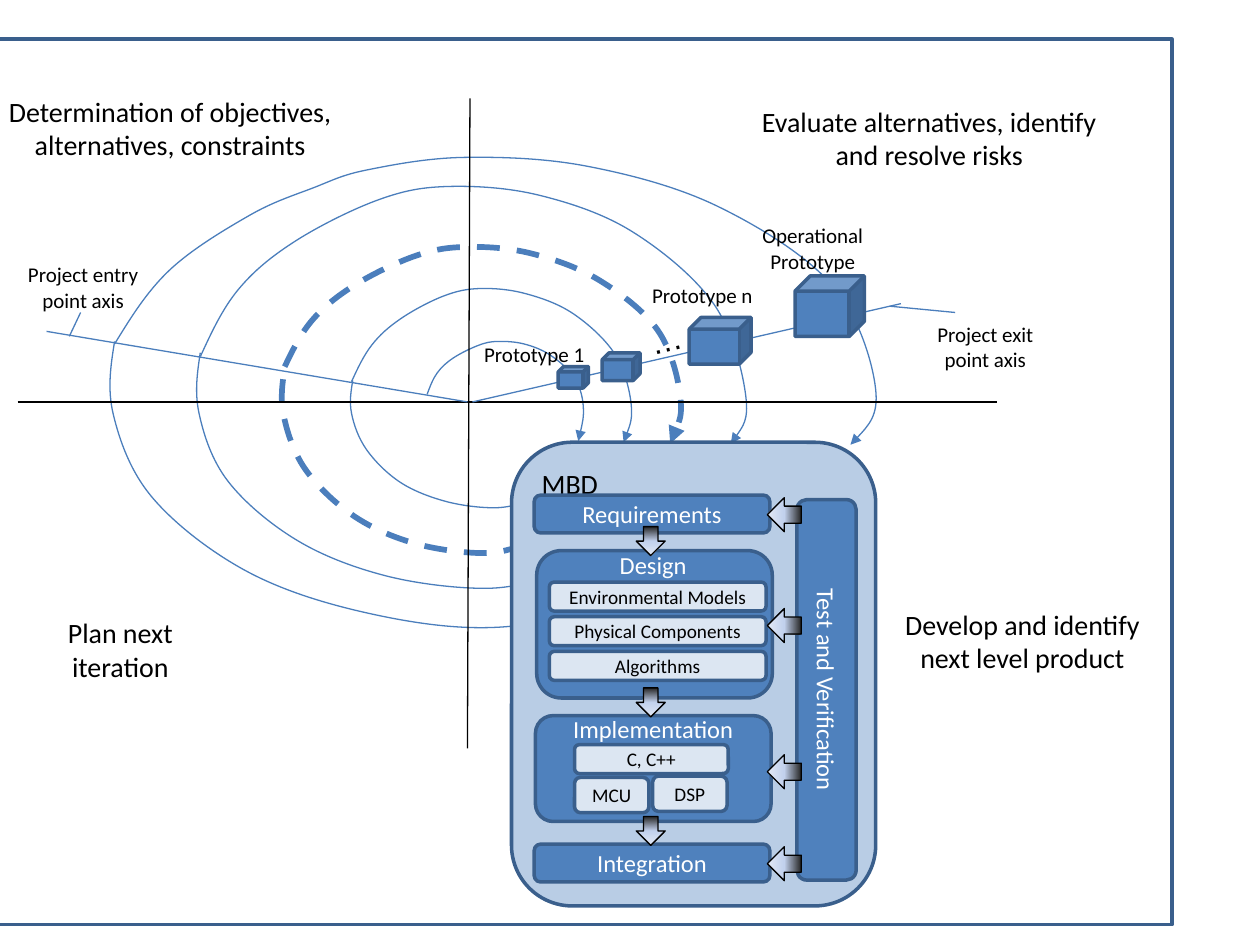
"""Build a slide showing a spiral process model that feeds a model-based design flow."""
import copy

import lxml.etree
import pptx
import pptx.dml.color
import pptx.enum.dml
import pptx.enum.shapes
import pptx.enum.text
import pptx.oxml.ns
import pptx.util

Inches = pptx.util.Inches
qn = pptx.oxml.ns.qn
SHAPE = pptx.enum.shapes.MSO_SHAPE
ALIGN = pptx.enum.text.PP_ALIGN
ANCHOR = pptx.enum.text.MSO_ANCHOR

BLACK, WHITE = "000000", "FFFFFF"
CURVE, EDGE, BLOCK, PANEL, ITEM = "4B7EBC", "3A5F8C", "4F81BD", "B9CDE5", "DCE6F2"
ARROW_STOPS = [(0, "262626"), (0.5, "C2D1ED"), (1, "E1E8F5")]
THIN, EDGE_WIDTH, DASH_WIDTH = 0.75, 2, 3.25

# fmt: off
LOWER_ARCS = [
    ([(4.34, 4.58), (3.83, 4.67), (3.06, 4.57), (2.36, 4.29), (1.81, 3.82), (1.58, 3.28), (1.59, 2.8)], False),
    ([(4.18, 3.98), (3.92, 4.03), (3.54, 3.98), (3.18, 3.83), (2.91, 3.57), (2.79, 3.28), (2.8, 3.02)], False),
    ([(4.17, 4.32), (3.82, 4.39), (3.28, 4.31), (2.8, 4.09), (2.42, 3.72), (2.25, 3.29), (2.26, 2.92)], True),
    ([(4.98, 4.77), (3.93, 4.98), (2.89, 4.86), (1.95, 4.53), (1.21, 3.95), (0.9, 3.29), (0.91, 2.71)], False),
]
UPPER_ARCS = [
    ([(0.91, 2.73), (1.34, 2.15), (1.98, 1.71), (2.49, 1.49), (2.91, 1.35), (3.68, 1.25), (4.66, 1.32),
      (5.7, 1.64), (6.61, 2.27), (6.95, 3.09), (6.75, 3.53)], False),
    ([(3.39, 3.13), (3.47, 2.96), (3.6, 2.84), (3.8, 2.74), (3.95, 2.71), (4.16, 2.73), (4.37, 2.82),
      (4.56, 3), (4.63, 3.23), (4.59, 3.5)], False),
    ([(2.79, 3.03), (2.95, 2.74), (3.18, 2.53), (3.52, 2.35), (3.81, 2.29), (4.17, 2.33), (4.55, 2.49),
      (4.88, 2.81), (5.01, 3.21), (4.95, 3.51)], False),
    ([(2.26, 2.91), (2.48, 2.54), (2.82, 2.26), (3.3, 2.03), (3.7, 1.96), (4.21, 2.01), (4.75, 2.22),
      (5.22, 2.62), (5.4, 3.15), (5.32, 3.52)], True),
    ([(1.59, 2.83), (1.89, 2.3), (2.35, 1.91), (3.02, 1.58), (3.57, 1.48), (4.28, 1.55), (5.02, 1.84),
      (5.67, 2.42), (5.92, 3.15), (5.8, 3.52)], False),
]
# fmt: on
AXES = [
    ((3.73, 0.78), (3.71, 5.94), BLACK),
    ((0.14, 3.19), (7.91, 3.19), BLACK),
    ((3.75, 3.19), (7.15, 2.41), CURVE),
    ((0.37, 2.63), (3.71, 3.19), CURVE),
    ((7.58, 2.48), (7.06, 2.43), CURVE),
    ((0.55, 2.67), (0.64, 2.48), CURVE),
]
CUBES = [(4.43, 2.91, 0.24, 0.17), (4.78, 2.8, 0.3, 0.22), (5.47, 2.52, 0.49, 0.37), (6.31, 2.19, 0.55, 0.48)]
QUADRANTS = [
    ("Determination of objectives,\nalternatives, constraints", (-0.16, 0.7, 3.02, 0.64)),
    ("Plan next iteration", (0.31, 4.84, 1.29, 0.64)),
    ("Evaluate alternatives, identify\nand resolve risks", (5.94, 0.78, 2.87, 0.64)),
    ("Develop and identify next level product", (7.03, 4.77, 2.17, 0.65)),
]
CALLOUTS = [
    ("Prototype 1", (3.73, 2.66, 1.02, 0.3)),
    ("Prototype n", (5.06, 2.19, 1.03, 0.3)),
    ("Operational Prototype", (5.84, 1.72, 1.22, 0.51)),
    ("Project exit point axis", (7.25, 2.5, 1.14, 0.5)),
    ("Project entry point axis", (0.06, 2.03, 1.2, 0.5)),
]
STAGES = [
    ("Requirements", (4.24, 3.93, 1.87, 0.3), 0),
    ("", (4.26, 4.37, 1.87, 1.17), 0),
    ("", (4.25, 5.68, 1.87, 0.84), 0),
    ("Integration", (4.24, 6.7, 1.87, 0.3), 0),
    ("Test and Verification", (5.05, 5.24, 3.02, 0.47), 90),
]
STAGE_HEADINGS = [("Design", (4.82, 4.32, 0.74, 0.34)), ("Implementation", (4.45, 5.62, 1.49, 0.34))]
DESIGN_PARTS = ["Environmental Models", "Physical Components", "Algorithms"]
TARGETS = [("C, C++", (4.56, 5.91, 1.22, 0.23)), ("MCU", (4.56, 6.17, 0.59, 0.28)), ("DSP", (5.18, 6.16, 0.59, 0.28))]
FLOW_ARROW_TOPS = [4.18, 5.46, 6.48]
CHECK_ARROW_TOPS = [3.95, 4.83, 5.99, 6.72]


def rgb(value):
    return pptx.dml.color.RGBColor.from_string(value)


def style_line(line, color, width, dashed=False):
    line.color.rgb = rgb(color)
    line.width = pptx.util.Pt(width)
    if dashed:
        line.dash_style = pptx.enum.dml.MSO_LINE.DASH


def write(shape, text, size, color=BLACK, align=ALIGN.CENTER, anchor=ANCHOR.TOP, wrap=True, font="Calibri"):
    frame = shape.text_frame
    frame.text = text
    frame.word_wrap = wrap
    frame.vertical_anchor = anchor
    for paragraph in frame.paragraphs:
        paragraph.alignment = align
        for run in paragraph.runs:
            run.font.name = font
            run.font.size = pptx.util.Pt(size)
            run.font.color.rgb = rgb(color)


def add_label(slide, text, place, size, **options):
    label = slide.shapes.add_textbox(*map(Inches, place))
    write(label, text, size, **options)
    return label


def add_block(slide, kind, place, fill=None, edge_width=EDGE_WIDTH, rotation=0, edge=EDGE):
    block = slide.shapes.add_shape(kind, *map(Inches, place))
    block.shadow.inherit = False
    block.rotation = rotation
    if fill:
        block.fill.solid()
        block.fill.fore_color.rgb = rgb(fill)
    else:
        block.fill.background()
    style_line(block.line, edge, edge_width)
    return block


def add_item(slide, text, place):
    item = add_block(slide, SHAPE.ROUNDED_RECTANGLE, place, ITEM)
    write(item, text, 11, anchor=ANCHOR.MIDDLE)


def add_arrow(slide, left, top, size, rotation=0):
    arrow = add_block(slide, SHAPE.DOWN_ARROW, (left, top, size, size), None, THIN, rotation, BLACK)
    arrow.fill.gradient()
    arrow.fill.gradient_angle = 270
    stop_list = arrow._element.spPr.find(".//" + qn("a:gsLst"))
    stop_list.append(copy.deepcopy(stop_list[0]))
    for stop, (position, color) in zip(arrow.fill.gradient_stops, ARROW_STOPS):
        stop.position = position
        stop.color.rgb = rgb(color)


def add_axis(slide, start, end, color):
    axis = slide.shapes.add_connector(pptx.enum.shapes.MSO_CONNECTOR.STRAIGHT, *map(Inches, start + end))
    style_line(axis.line, color, THIN)
    lxml.etree.SubElement(axis._element.spPr, qn("a:effectLst"))


def midpoint(a, b):
    return tuple((u + v) / 2 for u, v in zip(a, b))


def spline(knots):
    """Return Bezier control points of a smooth curve through the knots."""
    slopes = [tuple((b - a) / 6 for a, b in zip(p, q)) for p, q in zip(knots, knots[2:])]
    after = [None] + [(x + dx, y + dy) for (x, y), (dx, dy) in zip(knots[1:], slopes)]
    before = [(x - dx, y - dy) for (x, y), (dx, dy) in zip(knots[1:], slopes)] + [None]
    after[0] = midpoint(knots[0], before[0])
    before[-1] = midpoint(knots[-1], after[-1])
    return [point for triple in zip(after, before, knots[1:]) for point in triple]


def add_arc(slide, knots, dashed, arrow):
    points = [(Inches(x), Inches(y)) for x, y in knots[:1] + spline(knots)]
    builder = slide.shapes.build_freeform(*points[0])
    builder.add_line_segments(points[1:], close=False)
    arc = builder.convert_to_shape()
    arc.shadow.inherit = False
    arc.fill.background()
    style_line(arc.line, CURVE, DASH_WIDTH if dashed else THIN, dashed)
    outline = arc._element.spPr.find(".//" + qn("a:path"))
    segments = outline.findall(qn("a:lnTo"))
    for index in range(0, len(segments), 3):
        curve = lxml.etree.SubElement(outline, qn("a:cubicBezTo"))
        for segment in segments[index:index + 3]:
            curve.append(segment[0])
            outline.remove(segment)
    if arrow:
        lxml.etree.SubElement(arc.line._get_or_add_ln(), qn("a:tailEnd"), type="triangle")


def main():
    deck = pptx.Presentation()
    deck.slide_width, deck.slide_height = Inches(10), Inches(7.5)
    slide = deck.slides.add_slide(deck.slide_layouts[6])

    for arcs, arrow in ((LOWER_ARCS, False), (UPPER_ARCS, True)):
        for knots, dashed in arcs:
            add_arc(slide, knots, dashed, arrow)
    add_block(slide, SHAPE.RECTANGLE, (-0.31, 0.31, 9.61, 7.03))
    for axis in AXES:
        add_axis(slide, *axis)
    for cube in CUBES:
        add_block(slide, SHAPE.CUBE, cube, BLOCK)
    for labels, size in ((QUADRANTS, 16), (CALLOUTS, 12)):
        for text, place in labels:
            add_label(slide, text, place, size)
    ellipsis = add_label(slide, "…", (5.05, 2.51, 0.35, 0.29), 18, align=ALIGN.LEFT, wrap=False, font="Arial")
    ellipsis.rotation = 346.5

    panel = add_block(slide, SHAPE.ROUNDED_RECTANGLE, (4.06, 3.51, 2.89, 3.68), PANEL)
    write(panel, "MBD", 16, align=ALIGN.LEFT)
    for text, place, rotation in STAGES:
        stage = add_block(slide, SHAPE.ROUNDED_RECTANGLE, place, BLOCK, rotation=rotation)
        if text:
            write(stage, text, 14, WHITE, anchor=ANCHOR.MIDDLE)
    for row, text in enumerate(DESIGN_PARTS):
        add_item(slide, text, (4.36, 4.62 + 0.275 * row, 1.72, 0.23))
    for text, place in TARGETS:
        add_item(slide, text, place)
    for text, place in STAGE_HEADINGS:
        add_label(slide, text, place, 14, color=WHITE, align=ALIGN.LEFT, wrap=False)
    for top in FLOW_ARROW_TOPS:
        add_arrow(slide, 5.05, top, 0.23)
    for top in CHECK_ARROW_TOPS:
        add_arrow(slide, 6.09, top, 0.27, 90)
    deck.save("out.pptx")


if __name__ == "__main__":
    main()
